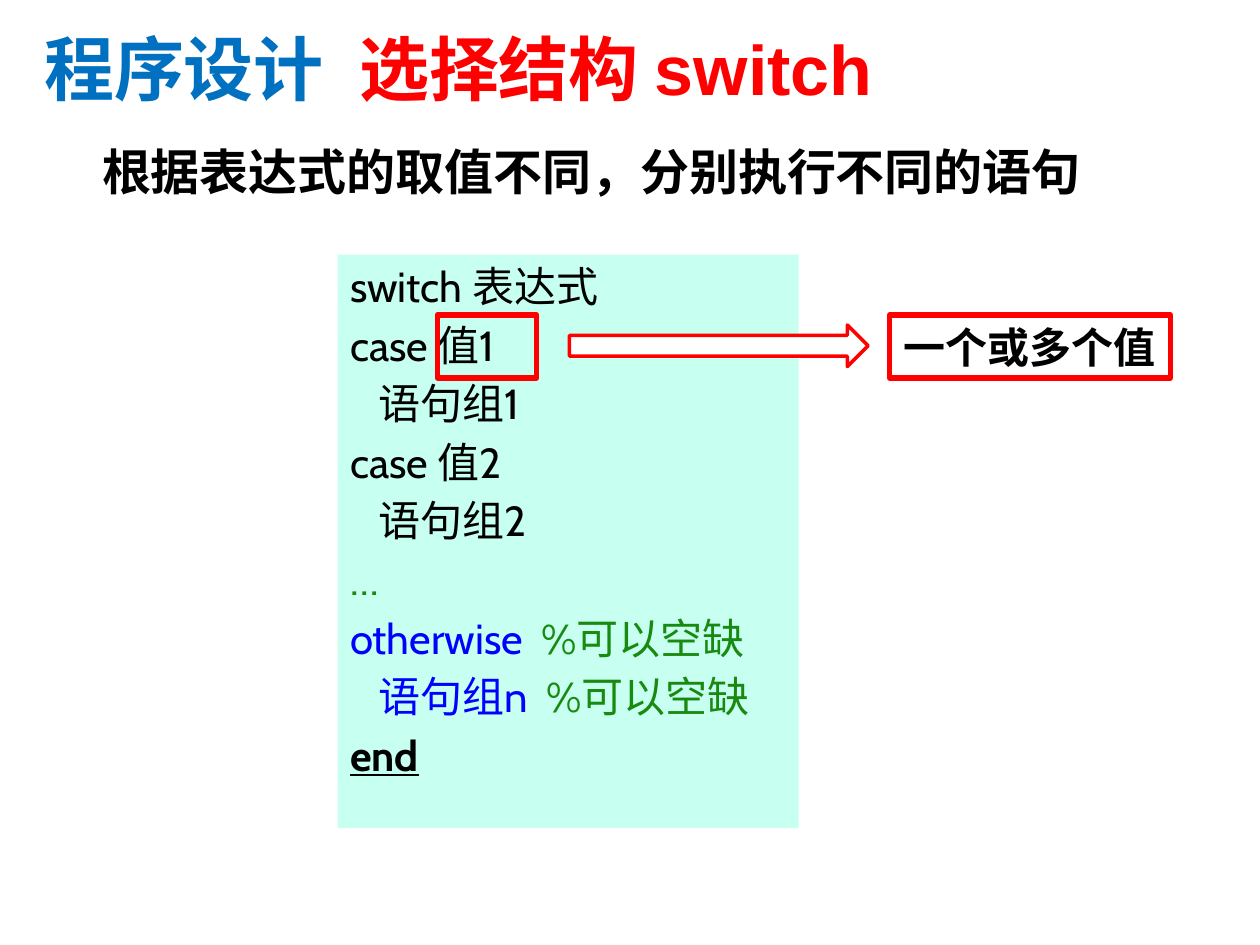
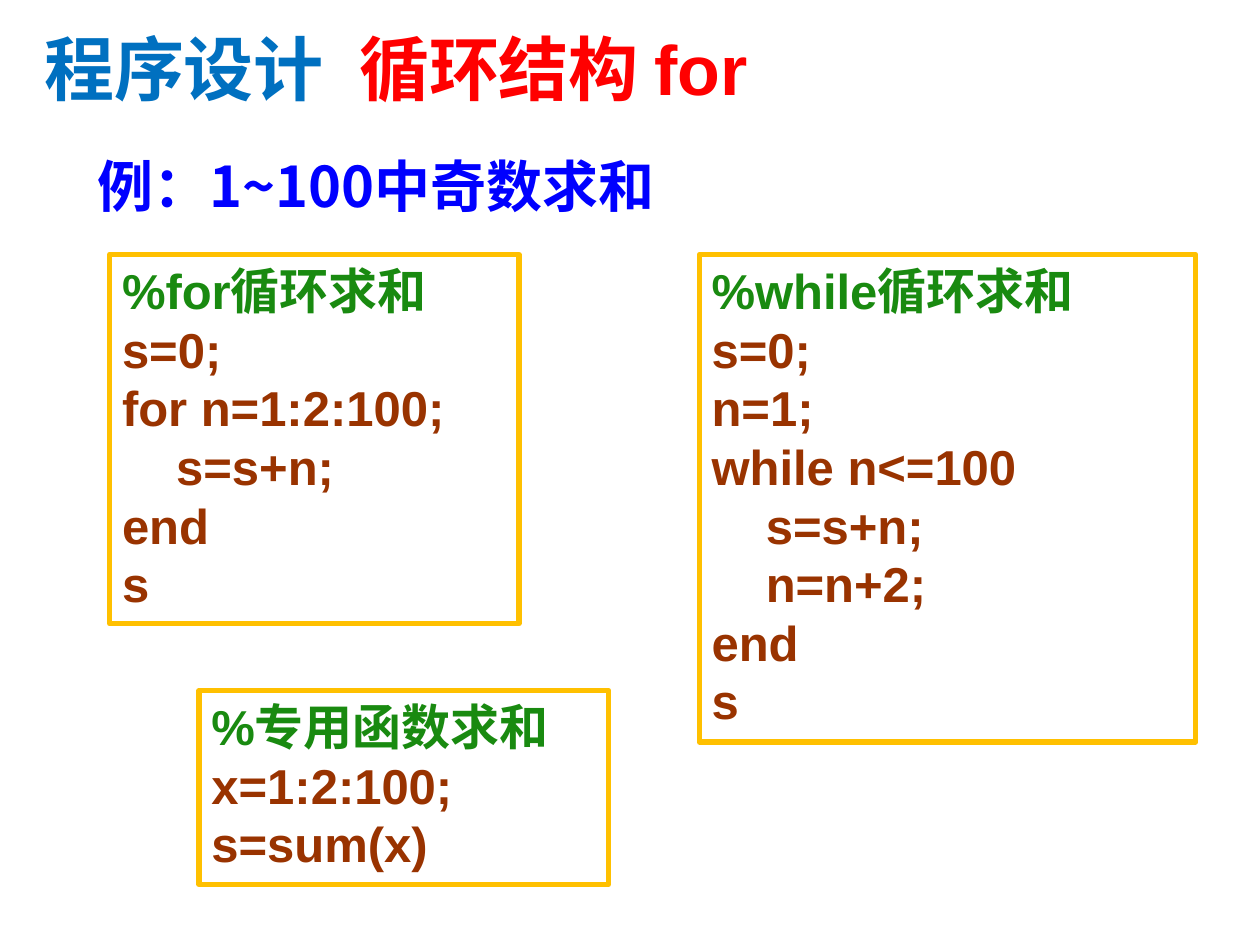
from lxml import etree
from pptx import Presentation
from pptx.dml.color import RGBColor
from pptx.enum.shapes import MSO_SHAPE
from pptx.enum.text import MSO_ANCHOR, MSO_AUTO_SIZE, PP_ALIGN
from pptx.oxml.ns import qn
from pptx.util import Inches, Pt

COLOURS = {
    "topic": "0070C0",
    "red": "FF0000",
    "black": "000000",
    "blue": "0000FF",
    "comment": "198A10",
    "code": "993300",
    "mint": "C7FFF0",
    "gold": "FFC000",
    "white": "FFFFFF",
}
CHINESE_FONT = "Noto Sans CJK SC"
LATIN_FONT = "Arial"
SYNTAX_FONT = "Cabin"
RECTANGLE = MSO_SHAPE.RECTANGLE
RIGHT_ARROW = MSO_SHAPE.RIGHT_ARROW
TOP, MIDDLE, BOTTOM = MSO_ANCHOR.TOP, MSO_ANCHOR.MIDDLE, MSO_ANCHOR.BOTTOM
LEFT, CENTER, JUSTIFY = PP_ALIGN.LEFT, PP_ALIGN.CENTER, PP_ALIGN.JUSTIFY
NO_AUTOFIT = MSO_AUTO_SIZE.NONE
CODE_PITCH = 33.5
SYNTAX_GAP = 4.8


def colour(name):
    return RGBColor.from_string(COLOURS[name])


def add_text(paragraph, text, *, size, font=LATIN_FONT, color="black", bold=False,
             underline=False, spacing=0):
    run = paragraph.add_run()
    run.text = text
    run.font.size = Pt(size)
    run.font.name = font
    run.font.bold = bold
    run.font.underline = underline
    run.font.color.rgb = colour(color)
    properties = run._r.get_or_add_rPr()
    east_asian = etree.SubElement(properties, qn("a:ea"))
    east_asian.set("typeface", CHINESE_FONT)
    if spacing:
        properties.set("spc", str(spacing * 100))


def set_paragraph(paragraph, alignment=LEFT, *, indent=0, tab=None, pitch=None, before=0):
    paragraph.alignment = alignment
    paragraph.space_before = Pt(before)
    if pitch:
        paragraph.line_spacing = Pt(pitch)
    properties = paragraph._p.get_or_add_pPr()
    properties.set("marL", "0")
    properties.set("indent", str(Inches(indent)))
    etree.SubElement(properties, qn("a:buNone"))
    if tab:
        tab_list = etree.SubElement(properties, qn("a:tabLst"))
        etree.SubElement(tab_list, qn("a:tab"), pos=str(Inches(tab)), algn="l")


def place_placeholder(shape, left, top, width, height, anchor):
    shape.left, shape.top = Inches(left), Inches(top)
    shape.width, shape.height = Inches(width), Inches(height)
    frame = shape.text_frame
    frame.auto_size = NO_AUTOFIT
    frame.word_wrap = True
    frame.vertical_anchor = anchor
    return frame.paragraphs[0]


def add_titled_slide(presentation, subject):
    slide = presentation.slides.add_slide(presentation.slide_layouts[1])
    paragraph = place_placeholder(slide.shapes.title, 0.25, 0, 8.58, 0.92, BOTTOM)
    set_paragraph(paragraph, tab=2.7)
    add_text(paragraph, "程序设计\t", size=40, color="topic", bold=True)
    add_text(paragraph, subject, size=40, color="red", bold=True)
    return slide


def set_lead(slide, text, left, top, width, height, *, size, color):
    paragraph = place_placeholder(slide.placeholders[1], left, top, width, height, TOP)
    set_paragraph(paragraph)
    add_text(paragraph, text, size=size, font=CHINESE_FONT, color=color, bold=True)


def add_box(slide, left, top, width, height, *, kind=RECTANGLE, fill=None, line=None, weight=3):
    shape = slide.shapes.add_shape(kind, Inches(left), Inches(top), Inches(width), Inches(height))
    shape.shadow.inherit = False
    if fill:
        shape.fill.solid()
        shape.fill.fore_color.rgb = colour(fill)
    else:
        shape.fill.background()
    if line:
        shape.line.color.rgb = colour(line)
        shape.line.width = Pt(weight)
    else:
        shape.line.fill.background()
    shape.text_frame.word_wrap = True
    shape.text_frame.vertical_anchor = TOP
    return shape


def next_paragraph(frame, index):
    return frame.add_paragraph() if index else frame.paragraphs[0]


def add_syntax_box(slide, left, top, width, height):
    frame = add_box(slide, left, top, width, height, fill="mint").text_frame
    gap = (" ", {"spacing": 5})
    optional = ("%可以空缺", {"color": "comment"})
    lines = [
        (0, [("switch 表达式", {})]),
        (0, [("case 值1", {})]),
        (0.23, [("语句组1", {})]),
        (0, [("case 值2", {})]),
        (0.23, [("语句组2", {})]),
        (0, [("…", {"color": "comment"})]),
        (0, [("otherwise", {"color": "blue"}), gap, optional]),
        (0.23, [("语句组n", {"color": "blue"}), gap, optional]),
        (0, [("end", {"bold": True, "underline": True})]),
    ]
    for index, (indent, parts) in enumerate(lines):
        paragraph = next_paragraph(frame, index)
        set_paragraph(paragraph, JUSTIFY, indent=indent,
                      pitch=CODE_PITCH - SYNTAX_GAP, before=SYNTAX_GAP)
        for text, style in parts:
            add_text(paragraph, text, size=24, font=SYNTAX_FONT, **style)


def add_code_box(slide, left, top, width, height, comment, code):
    frame = add_box(slide, left, top, width, height, line="gold").text_frame
    for index, line in enumerate([comment, *code]):
        paragraph = next_paragraph(frame, index)
        text = line.lstrip()
        set_paragraph(paragraph, indent=0.43 if text != line else 0, pitch=CODE_PITCH)
        add_text(paragraph, text, size=28, color="code" if index else "comment", bold=True)


def build_switch_slide(presentation):
    slide = add_titled_slide(presentation, "选择结构 switch")
    set_lead(slide, "根据表达式的取值不同，分别执行不同的语句", 0.71, 1.07, 8.58, 0.57, size=28, color="black")
    add_syntax_box(slide, 2.68, 2.02, 3.66, 4.55)
    note = add_box(slide, 7.06, 2.5, 2.23, 0.5, line="red").text_frame
    note.word_wrap = False
    note.vertical_anchor = MIDDLE
    set_paragraph(note.paragraphs[0], CENTER)
    add_text(note.paragraphs[0], "一个或多个值", size=24, bold=True)
    add_box(slide, 4.52, 2.58, 2.37, 0.33, kind=RIGHT_ARROW, fill="white", line="red", weight=2)
    add_box(slide, 3.47, 2.5, 0.79, 0.5, line="red")


def build_for_slide(presentation):
    slide = add_titled_slide(presentation, "循环结构 for")
    set_lead(slide, "例：1~100中奇数求和", 0.67, 1.15, 8.54, 0.63, size=32, color="blue")
    add_code_box(slide, 0.87, 2.02, 3.25, 2.93, "%for循环求和",
                 ["s=0;", "for n=1:2:100;", " s=s+n;", "end", "s"])
    add_code_box(slide, 1.58, 5.48, 3.25, 1.54, "%专用函数求和",
                 ["x=1:2:100;", "s=sum(x)"])
    add_code_box(slide, 5.55, 2.02, 3.94, 3.87, "%while循环求和",
                 ["s=0;", "n=1;", "while n<=100", " s=s+n;", " n=n+2;", "end", "s"])


def main():
    presentation = Presentation()
    presentation.slide_width = Inches(10)
    presentation.slide_height = Inches(7.5)
    build_switch_slide(presentation)
    build_for_slide(presentation)
    presentation.save("out.pptx")


if __name__ == "__main__":
    main()
